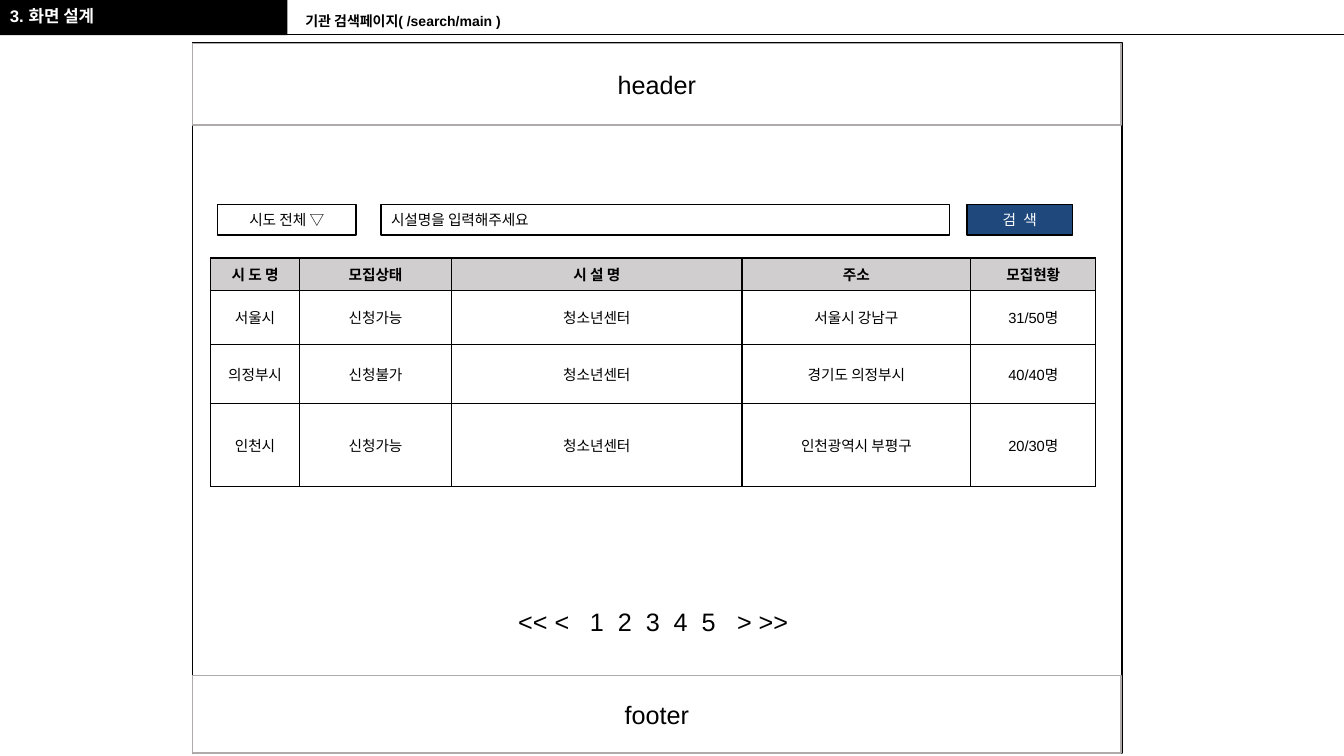
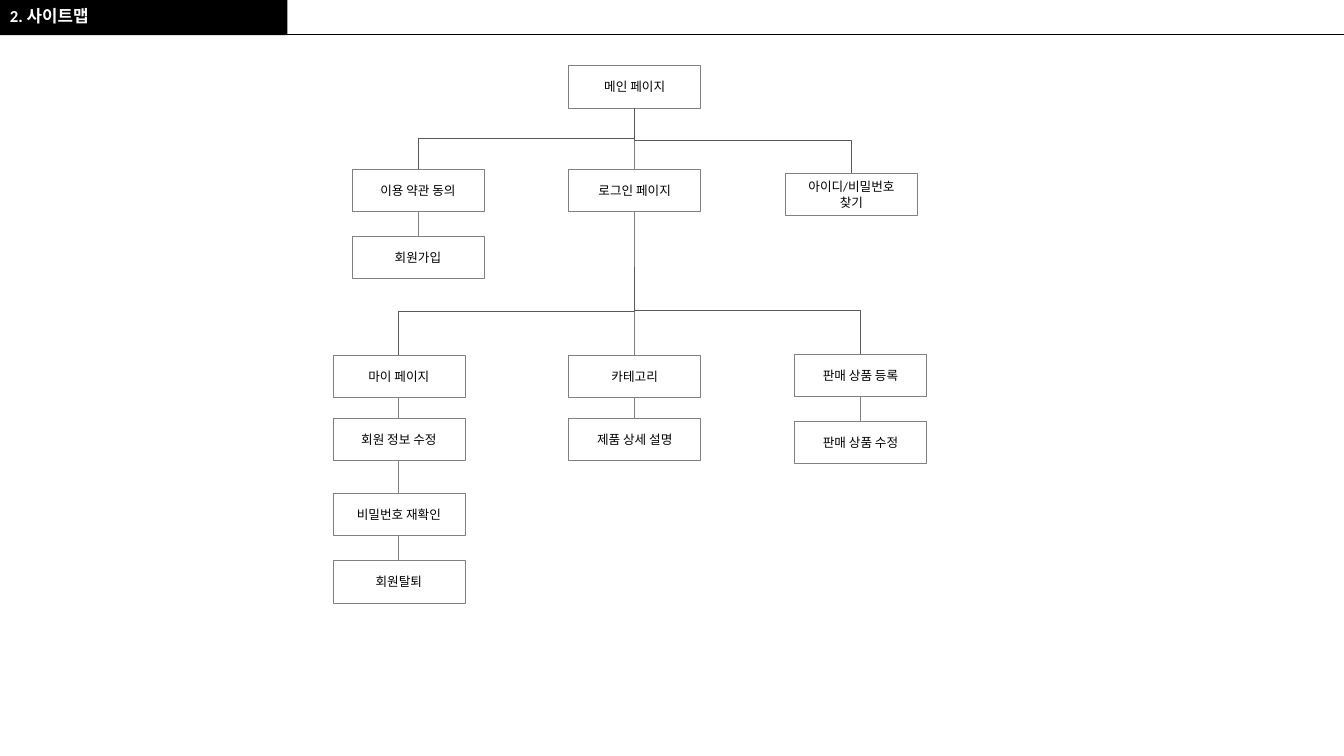
from typing import NamedTuple, Optional

from lxml import etree
from pptx import Presentation
from pptx import util as u
from pptx.dml import color
from pptx.enum import shapes, text
from pptx.oxml import ns

SLIDE_W = u.Inches(13.33)
SLIDE_H = u.Inches(7.5)
COLORS = {
    "ink": "000000",
    "paper": "FFFFFF",
    "section": "AFABAB",
    "button": "1F497D",
    "heading": "D0CECE",
    "node": "808080",
    "branch": "595959",
}
ALIGN = text.PP_ALIGN
ANCHOR = text.MSO_ANCHOR


class Area(NamedTuple):
    """Left, top, width and height in percent of the slide."""
    left: float
    top: float
    width: float
    height: float


class Style(NamedTuple):
    size: float = 10.5
    font: str = "Arial"
    ink: str = "ink"
    bold: bool = False
    align: ALIGN = ALIGN.CENTER
    anchor: ANCHOR = ANCHOR.MIDDLE
    line_spacing: float = 1.0


class Panel(NamedTuple):
    area: Area
    label: str = ""
    style: Style = Style()
    fill: Optional[str] = None
    line: Optional[str] = "ink"
    weight: float = 1


class Page(NamedTuple):
    label: str
    left: float
    top: float


BAND = Panel(Area(0, 0, 21.38, 4.67), fill="ink", line=None)
TITLE_AREA = Area(0, 0.4, 21.38, 4.27)
SUBTITLE_AREA = Area(21.98, 1.2, 64.29, 3.47)
TITLE = Style(12, ink="paper", bold=True, align=ALIGN.LEFT,
              anchor=ANCHOR.TOP, line_spacing=0.9)
SUBTITLE = TITLE._replace(size=10, ink="ink")
SECTION = Style(18)

FIELD_TOP, FIELD_HEIGHT = 27.07, 4
SEARCH_PANELS = [
    Panel(Area(14.33, 5.6, 69.17, 94), fill="paper"),
    Panel(Area(14.33, 89.33, 69.09, 10.27), "footer", SECTION, "paper", "section"),
    Panel(Area(14.33, 5.73, 69.09, 10.8), "header", SECTION, "paper", "section"),
    Panel(Area(16.2, FIELD_TOP, 10.28, FIELD_HEIGHT), "시도 전체 ▽"),
    Panel(Area(28.36, FIELD_TOP, 42.31, FIELD_HEIGHT), "시설명을 입력해주세요",
          Style(align=ALIGN.LEFT)),
]
SEARCH_BUTTON = Panel(Area(71.94, FIELD_TOP, 7.88, FIELD_HEIGHT), "검 색",
                      Style(ink="paper"), "button")

TABLE_LEFT, TABLE_TOP = 15.68, 34.13
TABLE_COLUMNS = [6.6, 11.33, 21.6, 17.03, 9.3]
TABLE_ROWS = [4.27, 7.2, 7.73, 11.07]
FACILITIES = [
    ["시 도 명", "모집상태", "시 설 명", "주소", "모집현황"],
    ["서울시", "신청가능", "청소년센터", "서울시 강남구", "31/50명"],
    ["의정부시", "신청불가", "청소년센터", "경기도 의정부시", "40/40명"],
    ["인천시", "신청가능", "청소년센터", "인천광역시 부평구", "20/30명"],
]

PAGER_AREA = Area(38.56, 79.87, 23.41, 4.53)
PAGER_TABS = [5.33 + 2.08 * step for step in range(5)] + [16.28]

NODE_W, NODE_H = 9.83, 5.6
CENTER = 42.31
SIGNUP = CENTER - 16.13
RECOVERY = CENTER + 16.13
ACCOUNT = CENTER - 17.55
SELLING = CENTER + 16.8
FORK_TOP = 35.33
SITEMAP = {
    "main": Page("메인 페이지", CENTER, 8.67),
    "login": Page("로그인 페이지", CENTER, 22.4),
    "terms": Page("이용 약관 동의", SIGNUP, 22.4),
    "join": Page("회원가입", SIGNUP, 31.2),
    "recover": Page("아이디/비밀번호\n찾기", RECOVERY, 22.93),
    "my_page": Page("마이 페이지", ACCOUNT, 46.93),
    "edit_member": Page("회원 정보 수정", ACCOUNT, 55.33),
    "confirm": Page("비밀번호 재확인", ACCOUNT, 65.2),
    "withdraw": Page("회원탈퇴", ACCOUNT, 74.13),
    "category": Page("카테고리", CENTER, 46.93),
    "detail": Page("제품 상세 설명", CENTER, 55.33),
    "register": Page("판매 상품 등록", SELLING, 46.8),
    "edit_product": Page("판매 상품 수정", SELLING, 55.73),
}
CHAINS = [
    ["main", "login", "category", "detail"],
    ["terms", "join"],
    ["my_page", "edit_member", "confirm", "withdraw"],
    ["register", "edit_product"],
]
BRANCHES = [
    (SITEMAP["main"].top + NODE_H, ["terms", "recover"]),
    (FORK_TOP, ["my_page", "register"]),
]


def across(percent: float) -> int:
    return round(SLIDE_W * percent / 100)


def down(percent: float) -> int:
    return round(SLIDE_H * percent / 100)


def place(area: Area) -> tuple:
    return across(area.left), down(area.top), across(area.width), down(area.height)


def rgb(name: str) -> color.RGBColor:
    return color.RGBColor.from_string(COLORS[name])


def style_paragraph(paragraph, style: Style) -> None:
    paragraph.alignment = style.align
    paragraph.line_spacing = style.line_spacing
    paragraph.font.name = style.font
    paragraph.font.size = u.Pt(style.size)
    paragraph.font.bold = style.bold
    paragraph.font.color.rgb = rgb(style.ink)


def write(frame, label: str, style: Style) -> None:
    frame.text = label
    frame.word_wrap = True
    frame.vertical_anchor = style.anchor
    for paragraph in frame.paragraphs:
        style_paragraph(paragraph, style)


def add_label(slide, area: Area, label: str, style: Style) -> None:
    write(slide.shapes.add_textbox(*place(area)).text_frame, label, style)


def add_panel(slide, panel: Panel):
    box = slide.shapes.add_shape(shapes.MSO_SHAPE.RECTANGLE, *place(panel.area))
    box.shadow.inherit = False
    if panel.fill:
        box.fill.solid()
        box.fill.fore_color.rgb = rgb(panel.fill)
    else:
        box.fill.background()
    if panel.line:
        box.line.color.rgb = rgb(panel.line)
        box.line.width = u.Pt(panel.weight)
    else:
        box.line.fill.background()
    if panel.label:
        write(box.text_frame, panel.label, panel.style)
    return box


def add_link(slide, kind, ends: tuple, ink: str):
    link = slide.shapes.add_connector(kind, *ends)
    link.line.color.rgb = rgb(ink)
    link.line.width = u.Pt(0.5)
    etree.SubElement(link._element.spPr, ns.qn("a:effectLst"))
    return link


def add_branch(slide, start: tuple, end: tuple) -> None:
    run, drop = abs(end[0] - start[0]), end[1] - start[1]
    left = (start[0] + end[0] - drop) // 2
    top = (start[1] + end[1] - run) // 2
    link = add_link(slide, shapes.MSO_CONNECTOR.ELBOW,
                    (left, top, left + drop, top + run), "branch")
    turn = link._element.spPr.find(ns.qn("a:xfrm"))
    if end[0] > start[0]:
        turn.set("rot", "16200000")
        turn.set("flipH", "1")
    else:
        turn.set("rot", "5400000")


def add_page(deck, title: str, font: str = "Arial"):
    slide = deck.slides.add_slide(deck.slide_layouts[6])
    add_panel(slide, BAND)
    add_link(slide, shapes.MSO_CONNECTOR.STRAIGHT,
             (across(20.7), down(4.53), SLIDE_W, down(4.53)), "ink")
    add_label(slide, TITLE_AREA, title, TITLE._replace(font=font))
    return slide


def outline_cell(cell) -> None:
    properties = cell._tc.get_or_add_tcPr()
    for side in ("lnL", "lnR", "lnT", "lnB"):
        border = etree.SubElement(properties, ns.qn(f"a:{side}"), w=str(u.Pt(1)))
        fill = etree.SubElement(border, ns.qn("a:solidFill"))
        etree.SubElement(fill, ns.qn("a:srgbClr"), val=COLORS["ink"])


def add_facilities(slide) -> None:
    area = Area(TABLE_LEFT, TABLE_TOP, sum(TABLE_COLUMNS), sum(TABLE_ROWS))
    table = slide.shapes.add_table(len(TABLE_ROWS), len(TABLE_COLUMNS),
                                   *place(area)).table
    table.horz_banding = False
    for column, width in zip(table.columns, TABLE_COLUMNS):
        column.width = across(width)
    for index, (row, height) in enumerate(zip(table.rows, TABLE_ROWS)):
        row.height = down(height)
        for cell, label in zip(row.cells, FACILITIES[index]):
            outline_cell(cell)
            if index == 0:
                cell.fill.solid()
                cell.fill.fore_color.rgb = rgb("heading")
            else:
                cell.fill.background()
            cell.text = label
            cell.vertical_anchor = ANCHOR.MIDDLE
            style_paragraph(cell.text_frame.paragraphs[0], Style(bold=index == 0))


def add_pager(slide) -> None:
    frame = slide.shapes.add_textbox(*place(PAGER_AREA)).text_frame
    frame.margin_left = frame.margin_right = 0
    frame.text = "\t".join(["<< <", "1", "2", "3", "4", "5", "> >>"])
    properties = frame.paragraphs[0]._p.get_or_add_pPr()
    stops = etree.SubElement(properties, ns.qn("a:tabLst"))
    for stop in PAGER_TABS:
        etree.SubElement(stops, ns.qn("a:tab"), pos=str(across(stop)), algn="l")
    frame.word_wrap = True
    frame.vertical_anchor = ANCHOR.MIDDLE
    style_paragraph(frame.paragraphs[0], SECTION._replace(align=ALIGN.LEFT))


def build_search(deck) -> None:
    slide = add_page(deck, "3. 화면 설계")
    add_label(slide, SUBTITLE_AREA, "기관 검색페이지( /search/main )", SUBTITLE)
    for panel in SEARCH_PANELS:
        add_panel(slide, panel)
    button = add_panel(slide, SEARCH_BUTTON)
    button.text_frame.paragraphs[0].runs[0]._r.get_or_add_rPr().set("spc", "150")
    add_facilities(slide)
    add_pager(slide)


def build_sitemap(deck) -> None:
    slide = add_page(deck, "2. 사이트맵", "Calibri")
    boxes = {
        key: add_panel(slide, Panel(Area(page.left, page.top, NODE_W, NODE_H),
                                    page.label, Style(9, "Calibri"),
                                    "paper", "node", 0.25))
        for key, page in SITEMAP.items()
    }
    for chain in CHAINS:
        for upper, lower in zip(chain, chain[1:]):
            link = add_link(slide, shapes.MSO_CONNECTOR.STRAIGHT, (0, 0, 0, 0), "node")
            link.begin_connect(boxes[upper], 2)
            link.end_connect(boxes[lower], 0)
    for top, targets in BRANCHES:
        for target in targets:
            page = SITEMAP[target]
            add_branch(slide, (across(CENTER + NODE_W / 2), down(top)),
                       (across(page.left + NODE_W / 2), down(page.top)))


def main() -> None:
    deck = Presentation()
    deck.slide_width, deck.slide_height = SLIDE_W, SLIDE_H
    build_search(deck)
    build_sitemap(deck)
    deck.save("out.pptx")


if __name__ == "__main__":
    main()
